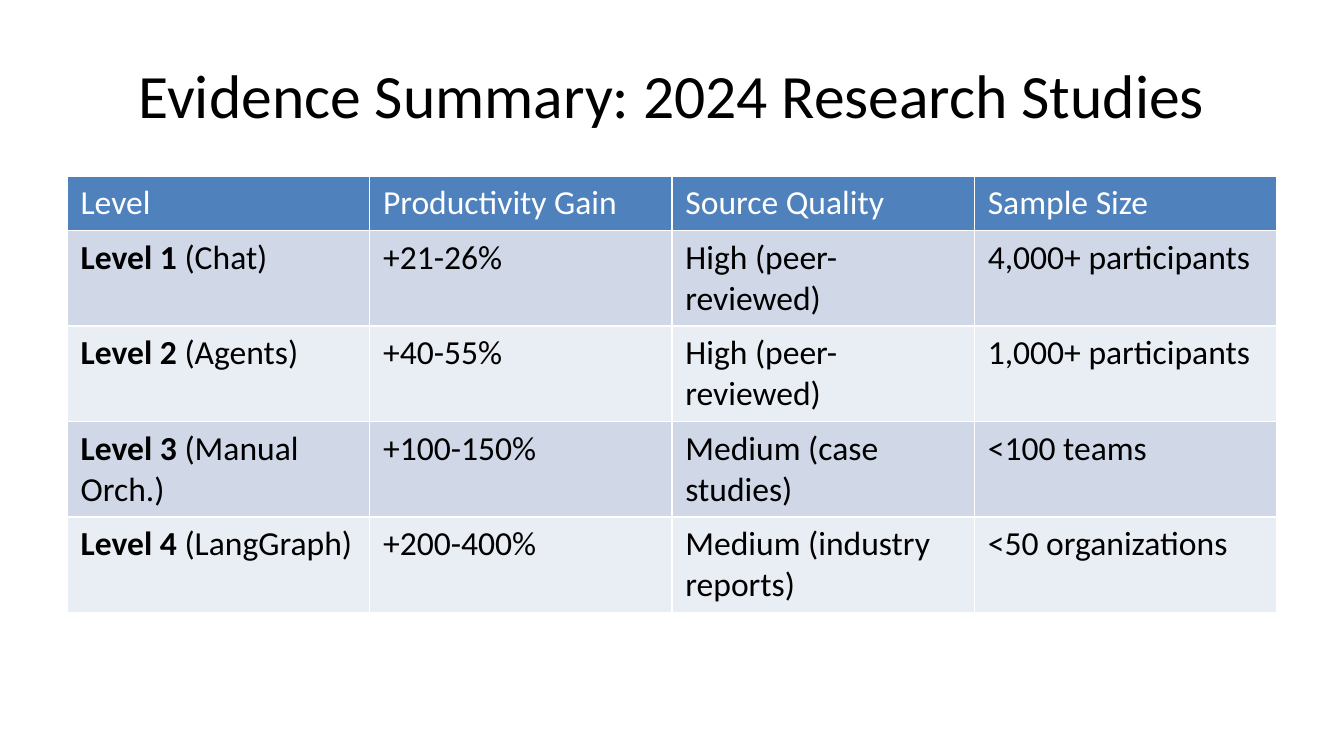
from pptx import Presentation
from pptx.dml.color import RGBColor
from pptx.enum.text import MSO_ANCHOR, PP_ALIGN
from pptx.util import Inches, Pt

CENTER = PP_ALIGN.CENTER
MIDDLE = MSO_ANCHOR.MIDDLE

FONT = "Calibri"
COLORS = {
    "text": "000000",
    "header_text": "FFFFFF",
    "header_fill": "4F81BD",
    "odd_row": "D0D8E8",
    "even_row": "E9EDF4",
}

HEADERS = ["Level", "Productivity Gain", "Source Quality", "Sample Size"]
STUDIES = [
    ("Level 1", " (Chat)", "+21-26%", "High (peer-reviewed)", "4,000+ participants"),
    ("Level 2", " (Agents)", "+40-55%", "High (peer-reviewed)", "1,000+ participants"),
    ("Level 3", " (Manual Orch.)", "+100-150%", "Medium (case studies)", "<100 teams"),
    ("Level 4", " (LangGraph)", "+200-400%", "Medium (industry reports)", "<50 organizations"),
]
HEADER_HEIGHT = 0.4
STUDY_HEIGHT = 0.71


def add_run(paragraph, text, size, color, bold=False):
    run = paragraph.add_run()
    run.text = text
    run.font.name = FONT
    run.font.size = Pt(size)
    run.font.bold = bold
    run.font.color.rgb = RGBColor.from_string(COLORS[color])


def fill_cell(cell, runs, text_color, fill_color):
    """Write (text, bold) runs into a cell and colour its background."""
    cell.fill.solid()
    cell.fill.fore_color.rgb = RGBColor.from_string(COLORS[fill_color])
    paragraph = cell.text_frame.paragraphs[0]
    for text, bold in runs:
        add_run(paragraph, text, 18, text_color, bold)


def place_title(slide, text, left, top, width, height):
    title = slide.shapes.title
    title.left, title.top = Inches(left), Inches(top)
    title.width, title.height = Inches(width), Inches(height)
    title.text_frame.vertical_anchor = MIDDLE
    paragraph = title.text_frame.paragraphs[0]
    paragraph.alignment = CENTER
    add_run(paragraph, text, 33, "text")


def add_evidence_table(slide, left, top, width):
    height = HEADER_HEIGHT + len(STUDIES) * STUDY_HEIGHT
    table = slide.shapes.add_table(
        len(STUDIES) + 1, len(HEADERS),
        Inches(left), Inches(top), Inches(width), Inches(height),
    ).table
    for column in table.columns:
        column.width = Inches(width / len(HEADERS))

    # Header row
    table.rows[0].height = Inches(HEADER_HEIGHT)
    for column_index, header in enumerate(HEADERS):
        fill_cell(table.cell(0, column_index), [(header, False)],
                  "header_text", "header_fill")

    # One row per level, with alternating fills
    for row_index, (level, label, *values) in enumerate(STUDIES, start=1):
        table.rows[row_index].height = Inches(STUDY_HEIGHT)
        fill_color = "odd_row" if row_index % 2 else "even_row"
        cells = [[(level, True), (label, False)]]
        cells += [[(value, False)] for value in values]
        for column_index, runs in enumerate(cells):
            fill_cell(table.cell(row_index, column_index), runs, "text", fill_color)


def main():
    # Widescreen 16:9 page
    presentation = Presentation()
    presentation.slide_width = Inches(10)
    presentation.slide_height = Inches(10 * 9 / 16)
    title_only = presentation.slide_layouts[5]
    slide = presentation.slides.add_slide(title_only)

    place_title(slide, "Evidence Summary: 2024 Research Studies", 0.5, 0.23, 9, 0.94)
    add_evidence_table(slide, 0.5, 1.31, 9)

    presentation.save("out.pptx")


if __name__ == "__main__":
    main()
